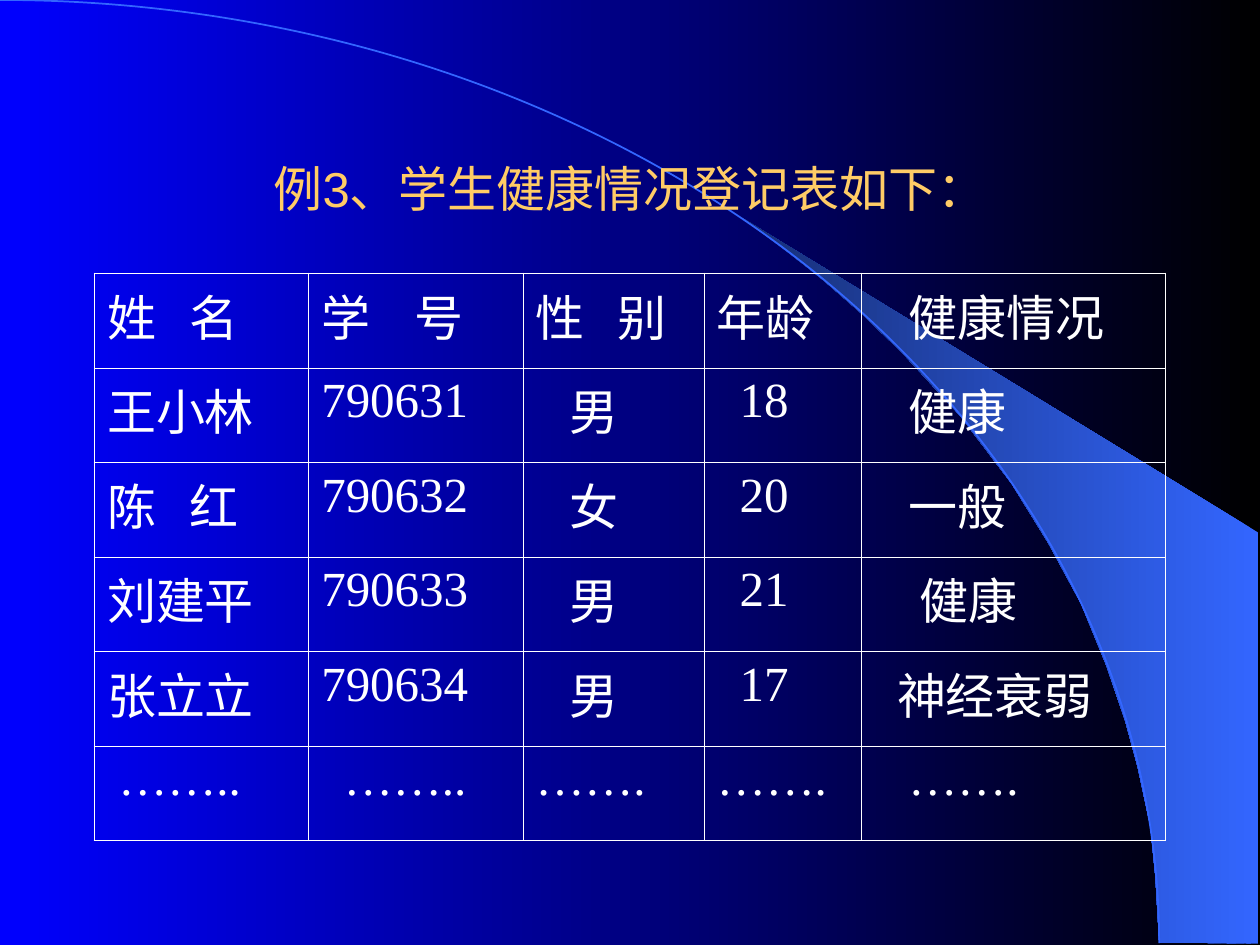
from lxml.etree import SubElement
from pptx import Presentation
from pptx.dml.color import RGBColor
from pptx.enum.shapes import MSO_SHAPE
from pptx.enum.text import MSO_ANCHOR, PP_ALIGN
from pptx.oxml.ns import qn
from pptx.util import Inches, Pt

WHITE = "FFFFFF"
BLUE = "3366FF"
SPACE = 0.09
BLADE = [
    (9.2, 7.48), (9.99, 7.49), (9.99, 4.23), (5.89, 1.73), (6.24, 1.99),
    (6.53, 2.22), (6.85, 2.5), (7.16, 2.8), (7.62, 3.3), (8.03, 3.84),
    (8.32, 4.31), (8.58, 4.79), (8.78, 5.28), (8.93, 5.72), (9.03, 6.09),
    (9.13, 6.56), (9.17, 6.96),
]
COLUMNS = [1.7, 1.7, 1.44, 1.25, 2.41]
ROW_HEIGHT = 0.75
STUDENTS = [
    ["姓\t名", "学\t号", "性\t别", "年龄", "健康情况"],
    ["王小林", "790631", "男", "18", "健康"],
    ["陈\t红", "790632", "女", "20", "一般"],
    ["刘建平", "790633", "男", "21", "健康"],
    ["张立立", "790634", "男", "17", "神经衰弱"],
    ["……..", "……..", "…….", "…….", "……."],
]
INDENTS = [
    [0, 0, 0, 0, 3],
    [0, 0, 3, 2, 3],
    [0, 0, 3, 2, 3],
    [0, 0, 3, 2, 4],
    [0, 0, 3, 2, 2],
    [1, 2, 0, 0, 3],
]
NAME_TAB, NUMBER_TAB = 0.65, 0.74


def color(value):
    return RGBColor.from_string(value)


def fill_gradient(fill, start, end):
    fill.gradient()
    fill.gradient_angle = 180
    for stop, value, position in zip(fill.gradient_stops, (start, end), (0, 1)):
        stop.color.rgb = color(value)
        stop.position = position


def style_font(font, name, value):
    font.name = name
    font.size = Pt(28)
    font.color.rgb = color(value)


def add_blade(slide):
    points = [(Inches(x), Inches(y)) for x, y in BLADE]
    builder = slide.shapes.build_freeform(*points[0])
    builder.add_line_segments(points[1:], close=True)
    blade = builder.convert_to_shape()
    blade.shadow.inherit = False
    blade.line.fill.background()
    fill_gradient(blade.fill, BLUE, "172F75")


def add_horizon(slide):
    horizon = slide.shapes.add_shape(
        MSO_SHAPE.ARC, Inches(-9.2), Inches(0), Inches(18.4), Inches(14.97))
    horizon.shadow.inherit = False
    horizon.fill.background()
    horizon.line.color.rgb = color(BLUE)
    horizon.line.width = Pt(1)


def add_title(slide, text):
    frame = slide.shapes.add_textbox(
        Inches(0.75), Inches(1.07), Inches(8.5), Inches(0.85)).text_frame
    frame.word_wrap = True
    frame.vertical_anchor = MSO_ANCHOR.MIDDLE
    title = frame.paragraphs[0]
    title.text = text
    title.alignment = PP_ALIGN.CENTER
    style_font(title.font, "Arial", "FFCC66")


def set_border(cell, side, width):
    border = SubElement(cell._tc.get_or_add_tcPr(), qn(f"a:ln{side}"), w=str(Pt(width)))
    paint = SubElement(border, qn("a:solidFill"))
    SubElement(paint, qn("a:srgbClr"), val=WHITE)


def add_tab_stop(paragraph, position):
    stops = SubElement(paragraph._p.get_or_add_pPr(), qn("a:tabLst"))
    SubElement(stops, qn("a:tab"), pos=str(Inches(position)), algn="l")


def fill_cell(cell, text, indent, tab):
    entry = cell.text_frame.paragraphs[0]
    entry.text = text
    if indent:
        entry._p.get_or_add_pPr().set("marL", str(Inches(indent * SPACE)))
    if "\t" in text:
        add_tab_stop(entry, tab)
    style_font(entry.font, "Times New Roman", WHITE)


def add_register(slide):
    rows, columns = len(STUDENTS), len(COLUMNS)
    register = slide.shapes.add_table(
        rows, columns, Inches(0.75), Inches(2.17),
        Inches(sum(COLUMNS)), Inches(rows * ROW_HEIGHT)).table
    register.first_row = register.horz_banding = False
    for column, width in zip(register.columns, COLUMNS):
        column.width = Inches(width)
    for r, (student, indents) in enumerate(zip(STUDENTS, INDENTS)):
        register.rows[r].height = Inches(ROW_HEIGHT)
        for c, (text, indent) in enumerate(zip(student, indents)):
            cell = register.cell(r, c)
            outer = {"L": c == 0, "R": c == columns - 1, "T": r == 0, "B": r == rows - 1}
            for side, is_outer in outer.items():
                set_border(cell, side, 1.08 if is_outer else 0.45)
            cell.fill.background()
            cell.margin_left = cell.margin_right = Inches(0.1)
            cell.margin_top = cell.margin_bottom = Inches(0.05)
            fill_cell(cell, text, indent, NUMBER_TAB if c == 1 else NAME_TAB)


def main():
    deck = Presentation()
    deck.slide_width, deck.slide_height = Inches(10), Inches(7.5)
    slide = deck.slides.add_slide(deck.slide_layouts[6])
    fill_gradient(slide.background.fill, "000000", "0000FF")
    add_blade(slide)
    add_horizon(slide)
    add_title(slide, "例3、学生健康情况登记表如下：")
    add_register(slide)
    deck.save("out.pptx")


if __name__ == "__main__":
    main()
